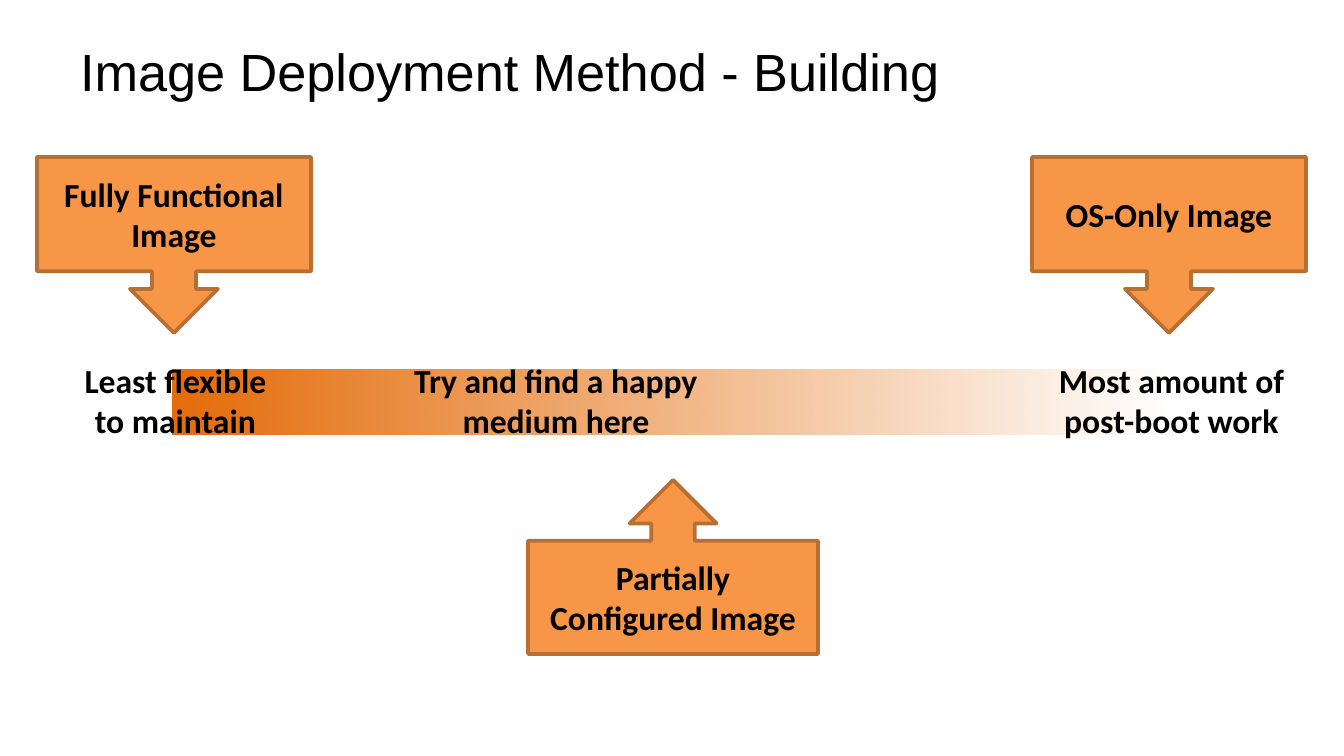
from lxml.etree import SubElement
from pptx import Presentation
from pptx.dml.color import RGBColor
from pptx.enum.shapes import MSO_SHAPE as Shape
from pptx.enum.text import MSO_ANCHOR as Anchor, MSO_AUTO_SIZE as AutoSize, PP_ALIGN as Align
from pptx.oxml.ns import qn
from pptx.util import Pt

EMU_PER_PX = 914400 / 134.4
HEADING = {"name": "Arial", "size": Pt(28), "bold": False}
LABEL = {"name": "Calibri", "size": Pt(18), "bold": True}


def px(*lengths):
    return [round(length * EMU_PER_PX) for length in lengths]


def paint(color_format, value):
    color_format.rgb = RGBColor.from_string(value)


def write(frame, lines, style, align, **settings):
    for name, value in {"word_wrap": True, **settings}.items():
        setattr(frame, name, value)
    for index, line in enumerate(lines):
        paragraph = frame.add_paragraph() if index else frame.paragraphs[0]
        paragraph.alignment = align
        run = paragraph.add_run()
        run.text = line
        for name, value in style.items():
            setattr(run.font, name, value)
        paint(run.font.color, "000000")


def add_title(slide, box, wording):
    title = slide.shapes.add_textbox(*px(*box))
    write(title.text_frame, [wording], HEADING, Align.LEFT, vertical_anchor=Anchor.MIDDLE)


def add_spectrum(slide, box):
    spectrum = slide.shapes.add_shape(Shape.RECTANGLE, *px(*box))
    spectrum.shadow.inherit = False
    spectrum.rotation = 180
    spectrum.line.fill.background()
    spectrum.fill.gradient()
    spectrum.fill.gradient_angle = 0
    for stop in spectrum.fill.gradient_stops:
        paint(stop.color, "E46C0A")
    clear_end = next(spectrum._element.spPr.iter(qn("a:srgbClr")))
    SubElement(clear_end, qn("a:alpha"), val="0")


def add_callout(slide, box, kind, wording):
    callout = slide.shapes.add_shape(kind, *px(*box))
    callout.shadow.inherit = False
    callout.fill.solid()
    paint(callout.fill.fore_color, "F79646")
    paint(callout.line.color, "B76F34")
    callout.line.width = Pt(2)
    side, edge = px(11, 5)
    write(callout.text_frame, [wording], LABEL, Align.CENTER,
          vertical_anchor=Anchor.MIDDLE, margin_left=side, margin_right=side,
          margin_top=edge, margin_bottom=edge)


def add_caption(slide, box, lines):
    caption = slide.shapes.add_textbox(*px(*box))
    write(caption.text_frame, lines, LABEL, Align.CENTER,
          auto_size=AutoSize.SHAPE_TO_FIT_TEXT)


def build_slide(deck):
    slide = deck.slides.add_slide(deck.slide_layouts[6])
    add_title(slide, (67, 31, 1210, 80), "Image Deployment Method - Building")
    add_spectrum(slide, (172, 369, 996, 66))
    for box, kind, wording in (
        ((37, 157, 274, 176), Shape.DOWN_ARROW_CALLOUT, "Fully Functional Image"),
        ((1032, 157, 274, 176), Shape.DOWN_ARROW_CALLOUT, "OS-Only Image"),
        ((528, 480, 290, 174), Shape.UP_ARROW_CALLOUT, "Partially Configured Image"),
    ):
        add_callout(slide, box, kind, wording)
    for left, width, lines in (
        (1036, 271, ["Most amount of post-boot work"]),
        (52, 247, ["Least flexible", "to maintain"]),
        (399, 314, ["Try and find a happy medium here"]),
    ):
        add_caption(slide, (left, 353, width, 95), lines)


def main():
    deck = Presentation()
    deck.slide_width, deck.slide_height = px(1344, 756)
    build_slide(deck)
    deck.save("out.pptx")


if __name__ == "__main__":
    main()
